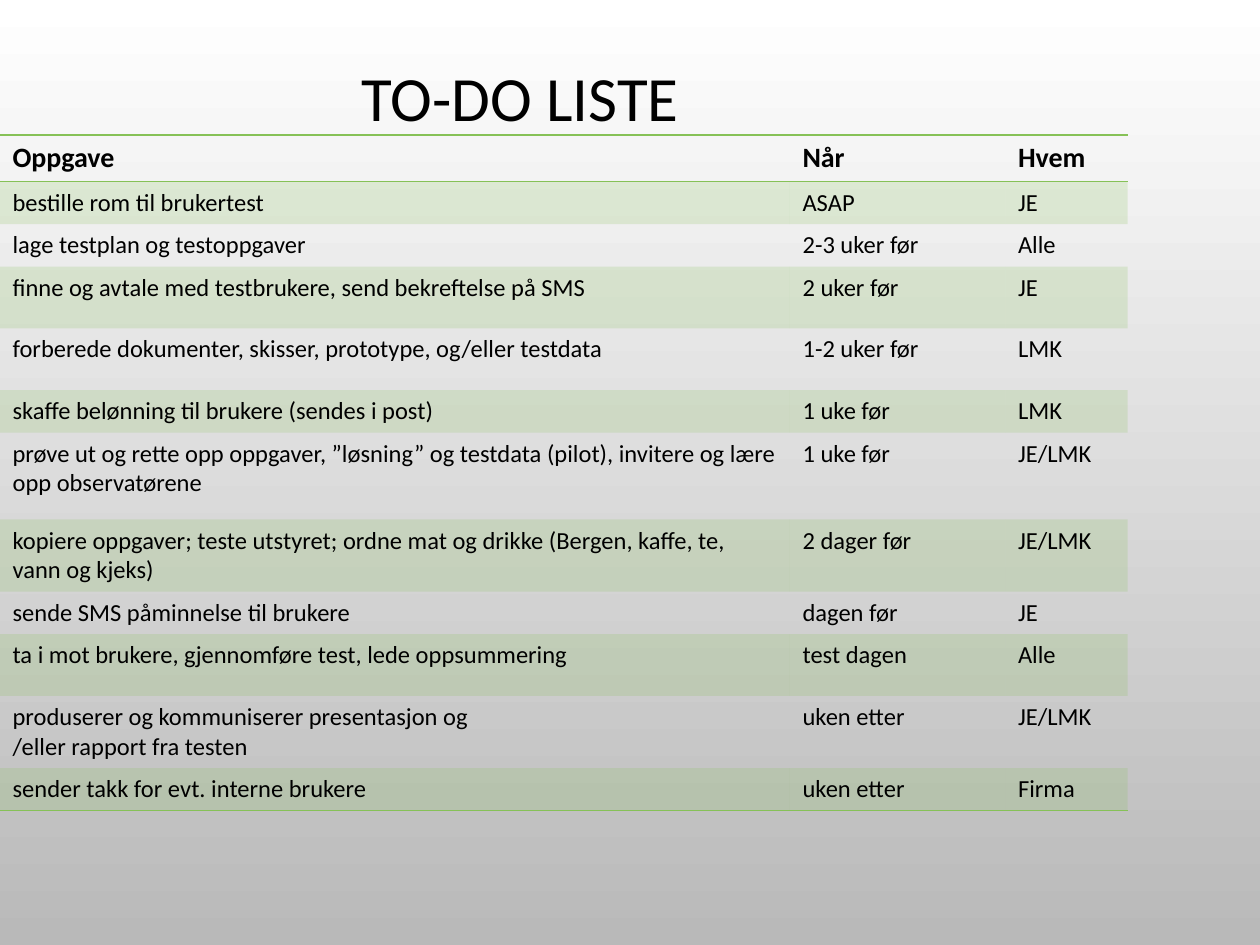
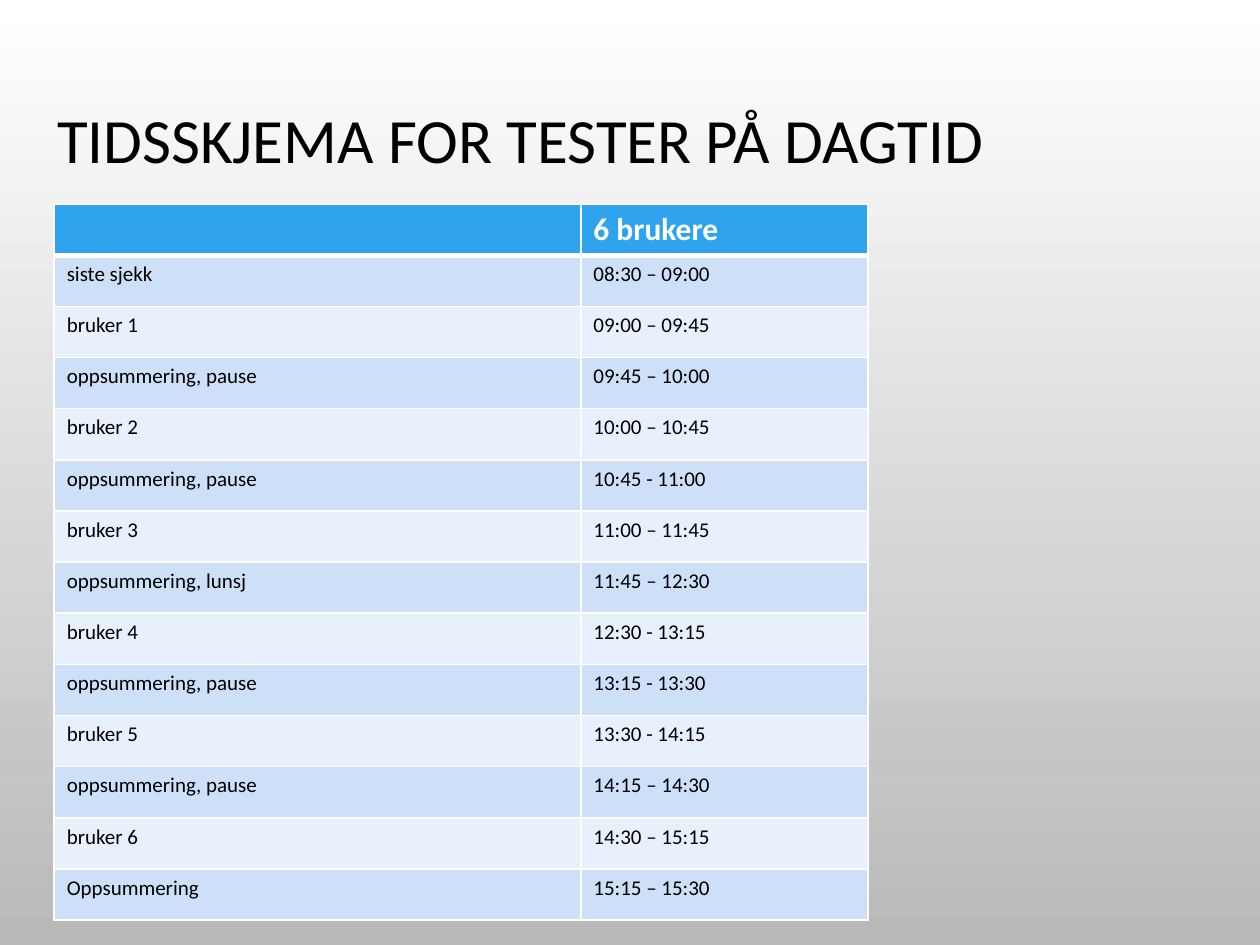
"""Build two planning slides: a to-do list and a daytime test schedule."""
import pptx
import pptx.dml.color
import pptx.enum.text
import pptx.oxml
import pptx.oxml.ns
import pptx.util

RGBColor = pptx.dml.color.RGBColor
BLACK = RGBColor(0x00, 0x00, 0x00)
WHITE = RGBColor(0xFF, 0xFF, 0xFF)
GREY = RGBColor(0xB9, 0xB9, 0xB9)
GREEN = RGBColor(0x86, 0xC1, 0x57)
BLUE = RGBColor(0x2F, 0xA3, 0xEE)
BLUE_BAND = RGBColor(0xCD, 0xE0, 0xF8)
BLUE_PALE = RGBColor(0xE8, 0xF0, 0xFC)
FONT = "Calibri"
NO_STYLE = "{2D5ABB26-0587-4C30-8999-92F81FD0307C}"


def write(frame, text, size=14, color=BLACK, bold=False, align=None, spacing=None):
    para = frame.paragraphs[0]
    para.text = text
    para.alignment = align
    para.line_spacing = spacing
    for span in para.runs:
        span.font.name = FONT
        span.font.size = pptx.util.Pt(size)
        span.font.bold = bold
        span.font.color.rgb = color


def paint(cell, fill, alpha, edge, borders):
    properties = cell._tc.get_or_add_tcPr()
    if fill is None:
        cell.fill.background()
    else:
        cell.fill.solid()
        cell.fill.fore_color.rgb = fill
        if alpha < 100:
            color = properties.find(".//" + pptx.oxml.ns.qn("a:srgbClr"))
            color.append(pptx.oxml.parse_xml(
                f'<a:alpha {pptx.oxml.ns.nsdecls("a")} val="{alpha * 1000}"/>'))
    sides = [side for side in "LRTB" if side in borders]
    for index, side in enumerate(sides):
        properties.insert(index, pptx.oxml.parse_xml(
            f'<a:ln{side} {pptx.oxml.ns.nsdecls("a")} w="{pptx.util.Pt(borders[side])}">'
            f'<a:solidFill><a:srgbClr val="{edge}"/></a:solidFill></a:ln{side}>'))


todo_rows = [
    ("Oppgave", "Når", "Hvem"),
    ("bestille rom til brukertest", "ASAP", "JE"),
    ("lage testplan og testoppgaver", "2-3 uker før", "Alle"),
    ("finne og avtale med testbrukere, send bekreftelse på SMS", "2 uker før", "JE"),
    ("forberede dokumenter, skisser, prototype, og/eller testdata", "1-2 uker før", "LMK"),
    ("skaffe belønning til brukere (sendes i post)", "1 uke før", "LMK"),
    ("prøve ut og rette opp oppgaver, ”løsning” og testdata (pilot), "
     "invitere og lære opp observatørene", "1 uke før", "JE/LMK"),
    ("kopiere oppgaver; teste utstyret; ordne mat og drikke "
     "(Bergen, kaffe, te, vann og kjeks)", "2 dager før", "JE/LMK"),
    ("sende SMS påminnelse til brukere", "dagen før", "JE"),
    ("ta i mot brukere, gjennomføre test, lede oppsummering", "test dagen", "Alle"),
    ("produserer og kommuniserer presentasjon og\n/eller rapport fra testen",
     "uken etter", "JE/LMK"),
    ("sender takk for evt. interne brukere", "uken etter", "Firma"),
]
schedule_rows = [
    ("", "6 brukere"),
    ("siste sjekk", "08:30 – 09:00"),
    ("bruker 1", "09:00 – 09:45"),
    ("oppsummering, pause", "09:45 – 10:00"),
    ("bruker 2", "10:00 – 10:45"),
    ("oppsummering, pause", "10:45 - 11:00"),
    ("bruker 3", "11:00 – 11:45"),
    ("oppsummering, lunsj", "11:45 – 12:30"),
    ("bruker 4", "12:30 - 13:15"),
    ("oppsummering, pause", "13:15 - 13:30"),
    ("bruker 5", "13:30 - 14:15"),
    ("oppsummering, pause", "14:15 – 14:30"),
    ("bruker 6", "14:30 – 15:15"),
    ("Oppsummering", "15:15 – 15:30"),
]

frame_sides = {"L": 1, "R": 1, "B": 1}
plans = [
    dict(title="TO-DO LISTE", title_top=1.9, left=0, top=10.7, rows=todo_rows,
         columns=[62.7, 17.1, 9.7],
         heights=[2.8, 2.8, 2.8, 4.9, 4.9, 2.8, 6.9, 4.9, 2.8, 4.9, 4.9, 2.8],
         head=dict(size=16, bold=True), body=dict(size=14),
         fills=(None, GREEN, None), alpha=20, edge=GREEN,
         borders=({"T": 1, "B": 1}, {}, {"B": 1})),
    dict(title="TIDSSKJEMA FOR TESTER PÅ DAGTID", title_top=5.3, left=4.3, top=16.2,
         rows=schedule_rows, columns=[41.8, 22.8], heights=[3.2] + [4.06] * 13,
         head=dict(size=18, bold=True, color=WHITE), body=dict(size=12),
         fills=(BLUE, BLUE_BAND, BLUE_PALE), alpha=100, edge=WHITE,
         borders=({"L": 1, "R": 1, "T": 1, "B": 3}, frame_sides, frame_sides)),
]

deck = pptx.Presentation()
deck.slide_width = pptx.util.Inches(10)
deck.slide_height = pptx.util.Inches(7.5)
UNIT = deck.slide_width / 100

backdrop = deck.slide_master.background.fill
backdrop.gradient()
backdrop.gradient_angle = 270
for stop, color in zip(backdrop.gradient_stops, (WHITE, GREY)):
    stop.color.rgb = color

for plan in plans:
    page = deck.slides.add_slide(deck.slide_layouts.get_by_name("Title Only"))
    title = page.shapes.title
    title.left, title.top = 0, int(plan["title_top"] * UNIT)
    title.width, title.height = int(82.6 * UNIT), int(12.2 * UNIT)
    title.text_frame.vertical_anchor = pptx.enum.text.MSO_ANCHOR.MIDDLE
    write(title.text_frame, plan["title"], size=36, spacing=0.9,
          align=pptx.enum.text.PP_ALIGN.CENTER)

    rows = plan["rows"]
    box = page.shapes.add_table(
        len(rows), len(plan["columns"]), int(plan["left"] * UNIT), int(plan["top"] * UNIT),
        int(sum(plan["columns"]) * UNIT), int(sum(plan["heights"]) * UNIT))
    table = box.table
    table.horz_banding = False
    table._tbl.tblPr.find(pptx.oxml.ns.qn("a:tableStyleId")).text = NO_STYLE
    for column, width in zip(table.columns, plan["columns"]):
        column.width = int(width * UNIT)

    head_fill, odd_fill, even_fill = plan["fills"]
    head_borders, body_borders, last_borders = plan["borders"]
    for number, texts in enumerate(rows):
        table.rows[number].height = int(plan["heights"][number] * UNIT)
        style, fill, borders = plan["body"], odd_fill if number % 2 else even_fill, body_borders
        if number == 0:
            style, fill, borders = plan["head"], head_fill, head_borders
        elif number == len(rows) - 1:
            borders = last_borders
        for cell, text in zip(table.rows[number].cells, texts):
            write(cell.text_frame, text, **style)
            paint(cell, fill, plan["alpha"], plan["edge"], borders)

deck.save("out.pptx")
